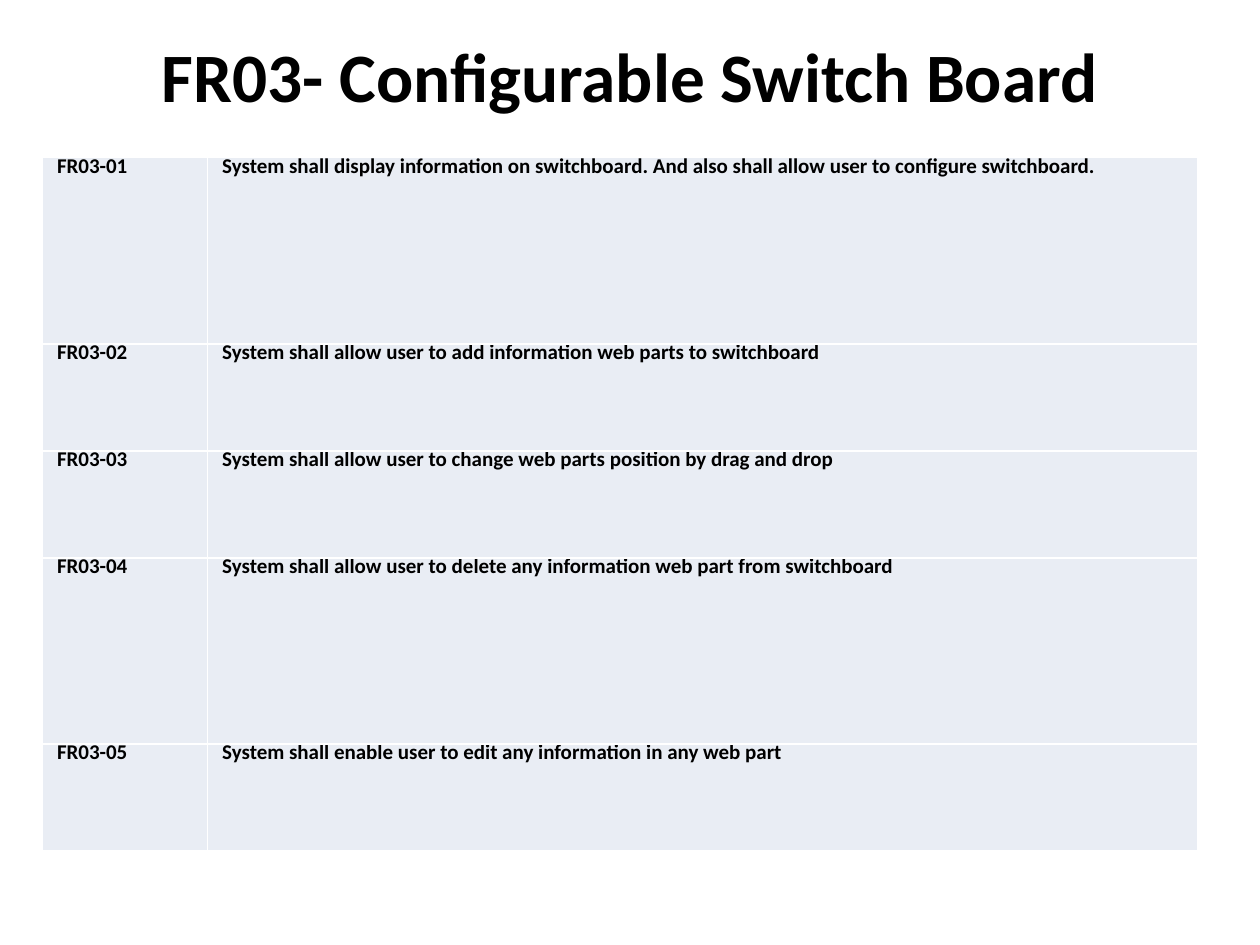
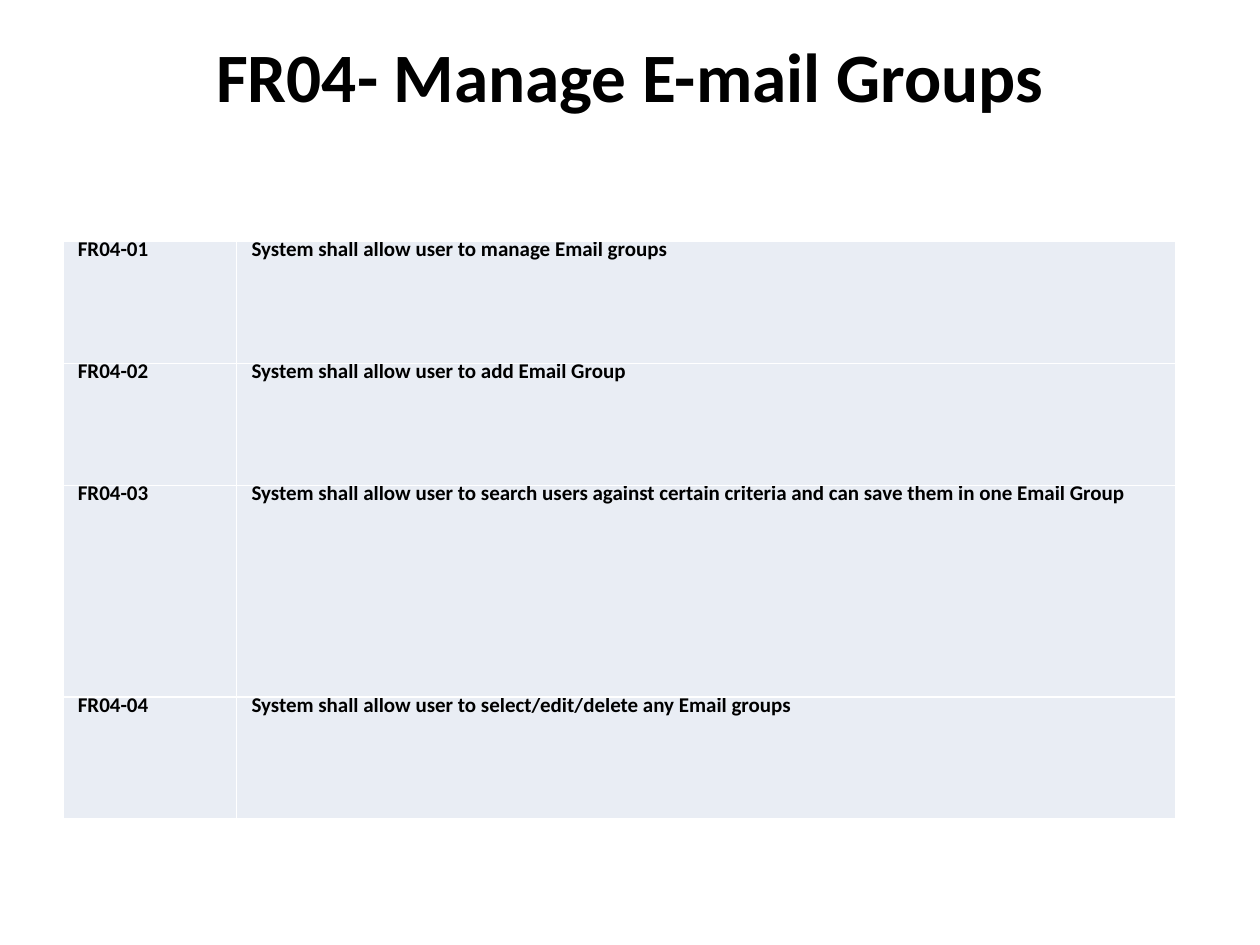
import dataclasses

import lxml.etree
import pptx
import pptx.dml.color
import pptx.enum.text
import pptx.oxml.ns
import pptx.util

Cm = pptx.util.Cm
Pt = pptx.util.Pt

COLORS = {"text": "000000", "cell": "E9EDF4", "border": "FFFFFF"}
FONT_BASE = {"name": "Calibri", "bold": True}
TITLE_FONT = FONT_BASE | {"size": Pt(39.6)}
CELL_FONT = FONT_BASE | {"size": Pt(12)}
TITLE_PLACE = {"left": Cm(1.27), "top": Cm(0.76), "width": Cm(22.86), "height": Cm(3.18)}
TITLE_FRAME = {
    "word_wrap": True,
    "auto_size": pptx.enum.text.MSO_AUTO_SIZE.NONE,
    "vertical_anchor": pptx.enum.text.MSO_ANCHOR.MIDDLE,
    "margin_top": Cm(0.13),
    "margin_bottom": Cm(1.83),
}
CELL_FORMAT = {
    "margin_left": Cm(0.3),
    "margin_right": Cm(0.3),
    "margin_top": 0,
    "margin_bottom": 0,
    "vertical_anchor": pptx.enum.text.MSO_ANCHOR.TOP,
}
TABLE_FLAGS = {"first_row": False, "horz_banding": False}


@dataclasses.dataclass(frozen=True)
class Requirement:
    description: str
    height: float


@dataclasses.dataclass(frozen=True)
class RequirementSlide:
    code: str
    heading: str
    left: float
    top: float
    column_widths: tuple[float, float]
    requirements: tuple[Requirement, ...]


SLIDES = (
    RequirementSlide(
        "FR03", "Configurable Switch Board", 0.85, 3.18, (3.33, 19.96),
        (
            Requirement("System shall display information on switchboard. "
                        "And also shall allow user to configure switchboard.", 3.75),
            Requirement("System shall allow user to add information web parts to switchboard", 2.16),
            Requirement("System shall allow user to change web parts position by drag and drop", 2.16),
            Requirement("System shall allow user to delete any information web part from switchboard", 3.75),
            Requirement("System shall enable user to edit any information in any web part", 2.16),
        ),
    ),
    RequirementSlide(
        "FR04", "Manage E-mail Groups", 1.27, 4.87, (3.5, 18.93),
        (
            Requirement("System shall allow user to manage Email groups", 2.46),
            Requirement("System shall allow user to add Email Group", 2.46),
            Requirement("System shall allow user to search users against certain criteria "
                        "and can save them in one Email Group", 4.26),
            Requirement("System shall allow user to select/edit/delete any Email groups", 2.46),
        ),
    ),
)


def apply_format(target: object, values: dict) -> None:
    for name, value in values.items():
        setattr(target, name, value)


def write_text(paragraph, text: str, font_values: dict) -> None:
    run = paragraph.add_run()
    run.text = text
    apply_format(run.font, font_values)
    run.font.color.rgb = pptx.dml.color.RGBColor.from_string(COLORS["text"])


def add_borders(cell) -> None:
    qualified = pptx.oxml.ns.qn
    properties = cell._tc.get_or_add_tcPr()
    for position, side in enumerate(("lnL", "lnR", "lnT", "lnB")):
        line = lxml.etree.Element(qualified(f"a:{side}"), w=str(Pt(1)))
        fill = lxml.etree.SubElement(line, qualified("a:solidFill"))
        lxml.etree.SubElement(fill, qualified("a:srgbClr"), val=COLORS["border"])
        properties.insert(position, line)


def fill_cell(cell, text: str) -> None:
    apply_format(cell, CELL_FORMAT)
    cell.fill.solid()
    cell.fill.fore_color.rgb = pptx.dml.color.RGBColor.from_string(COLORS["cell"])
    add_borders(cell)
    paragraph = cell.text_frame.paragraphs[0]
    paragraph.line_spacing = Pt(12)
    write_text(paragraph, text, CELL_FONT)


def add_title(slide, text: str) -> None:
    title = slide.shapes.title
    apply_format(title, TITLE_PLACE)
    apply_format(title.text_frame, TITLE_FRAME)
    paragraph = title.text_frame.paragraphs[0]
    paragraph.alignment = pptx.enum.text.PP_ALIGN.CENTER
    write_text(paragraph, text, TITLE_FONT)


def add_requirement_table(slide, content: RequirementSlide) -> None:
    requirements = content.requirements
    table = slide.shapes.add_table(
        len(requirements), len(content.column_widths),
        Cm(content.left), Cm(content.top),
        Cm(sum(content.column_widths)), Cm(sum(item.height for item in requirements)),
    ).table
    apply_format(table, TABLE_FLAGS)
    for column, width in zip(table.columns, content.column_widths):
        column.width = Cm(width)
    for number, (row, item) in enumerate(zip(table.rows, requirements), start=1):
        row.height = Cm(item.height)
        for cell, text in zip(row.cells, (f"{content.code}-{number:02}", item.description)):
            fill_cell(cell, text)


def main() -> None:
    presentation = pptx.Presentation()
    presentation.slide_width = Cm(25.4)
    presentation.slide_height = Cm(19.05)
    title_only = presentation.slide_layouts.get_by_name("Title Only")
    for content in SLIDES:
        slide = presentation.slides.add_slide(title_only)
        add_title(slide, f"{content.code}- {content.heading}")
        add_requirement_table(slide, content)
    presentation.save("out.pptx")


if __name__ == "__main__":
    main()
